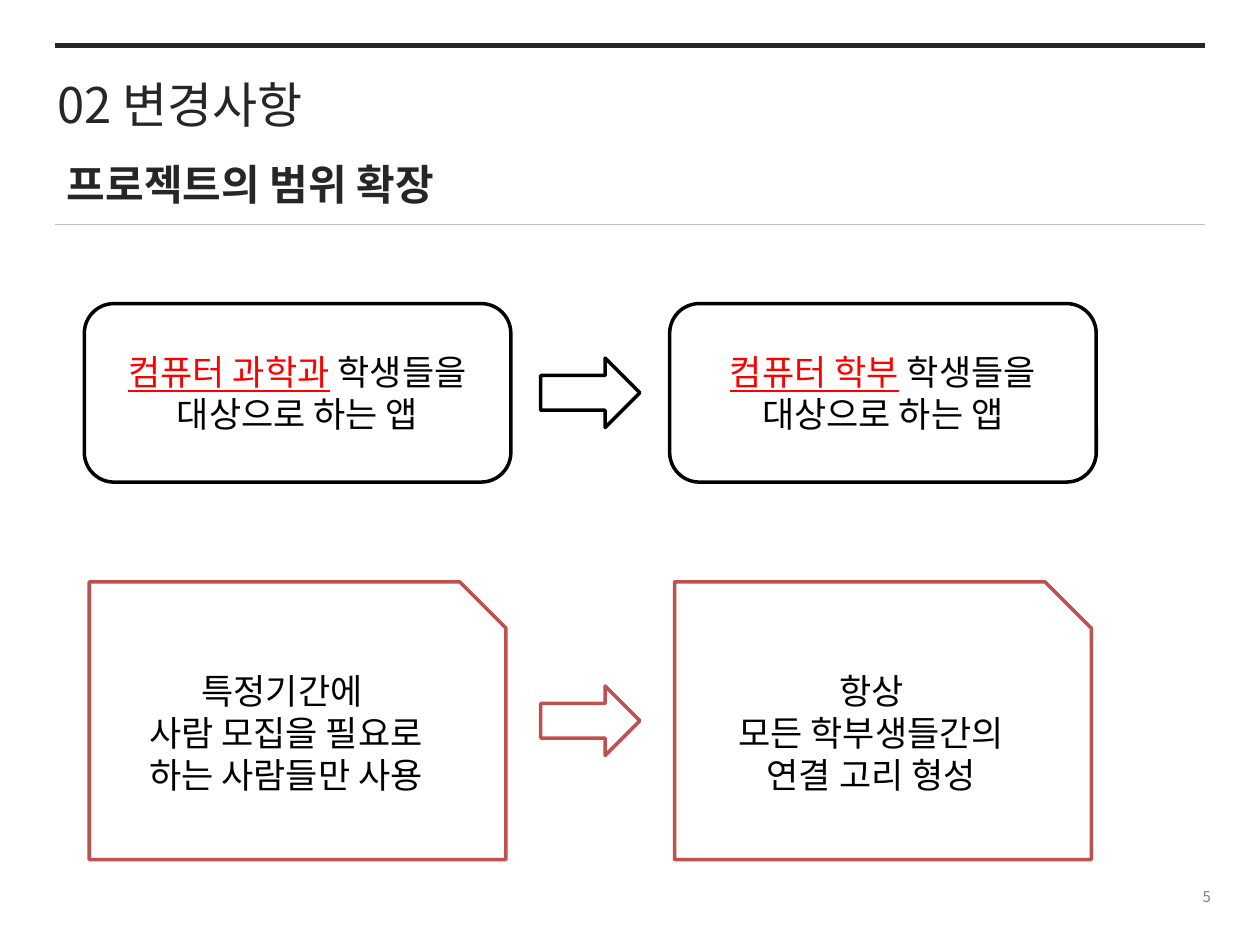
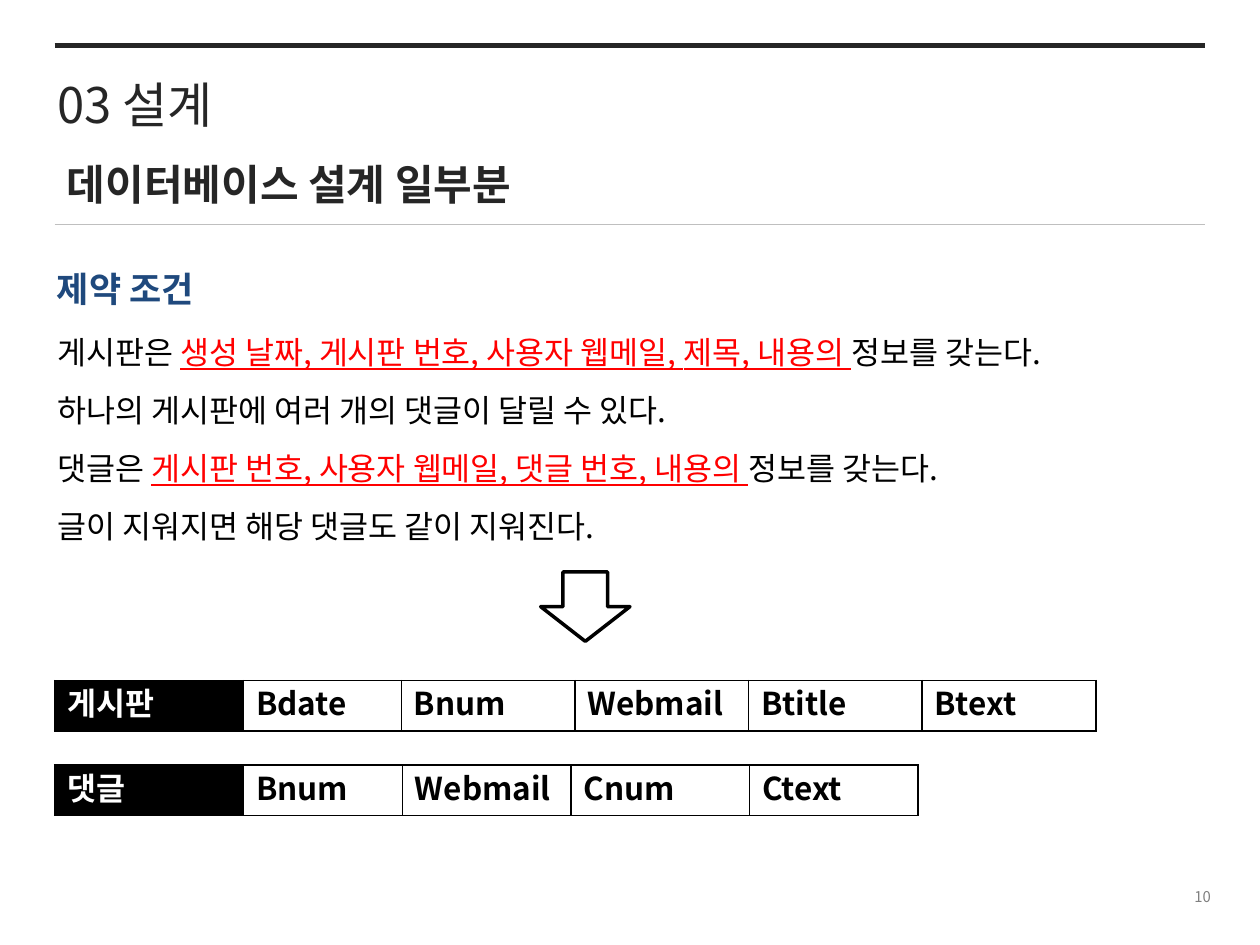
from dataclasses import dataclass

from lxml.etree import SubElement
from pptx import Presentation
from pptx.dml.color import RGBColor
from pptx.enum.shapes import MSO_CONNECTOR, MSO_SHAPE as Preset
from pptx.enum.text import MSO_ANCHOR as Anchor, MSO_AUTO_SIZE, PP_ALIGN as Align
from pptx.oxml import parse_xml
from pptx.oxml.ns import nsdecls, qn
from pptx.util import Cm, Pt


@dataclass(frozen=True)
class Theme:
    font: str = "Noto Sans CJK KR"
    ink: str = "262626"
    black: str = "000000"
    white: str = "FFFFFF"
    grey: str = "808080"
    rule: str = "BFBFBF"
    emphasis: str = "FF0000"
    heading: str = "1F497D"
    accent: str = "C0504D"
    title_size: float = 28
    subtitle_size: float = 24
    box_size: float = 20
    body_size: float = 18
    page_size: float = 8.5
    line_height: float = 1.2
    outline: float = 2
    left: float = 1.1
    right: float = 24.3


def color(value):
    return RGBColor.from_string(value)


def lengths(*values):
    return [Cm(value) for value in values]


class Deck:
    def __init__(self, theme):
        self.theme = theme
        self.presentation = Presentation()
        self.presentation.slide_width, self.presentation.slide_height = lengths(25.4, 19.05)
        self.slide = None

    def start_slide(self, layout_index, title, subtitle, page):
        """Add a slide with the shared title, rules and page number."""
        theme = self.theme
        layout = self.presentation.slide_layouts[layout_index]
        self.slide = self.presentation.slides.add_slide(layout)
        self.placeholder(0, (0.9, 1.37, 19.2, 1.44), [title], theme.title_size, theme.ink)
        self.rule(4.52, theme.rule, 0.75)
        self.rule(0.92, theme.ink, 3)
        self.text((theme.left, 3.07, 23.2, 1.27), subtitle,
                  theme.subtitle_size, theme.ink, bold=True)
        self.text((19.3, 17.73, 5.36, 0.69), page, theme.page_size, theme.grey,
                  align=Align.RIGHT, anchor=Anchor.MIDDLE)

    def fill_text(self, frame, lines, size, ink, bold=False, align=Align.LEFT, gap=0):
        """Fill a text frame; parts between bars are emphasised."""
        for index, line in enumerate(lines):
            paragraph = frame.add_paragraph() if index else frame.paragraphs[0]
            paragraph.alignment = align
            paragraph.line_spacing = Pt(size * self.theme.line_height)
            paragraph.space_before = Pt(0)
            paragraph.space_after = Pt(gap)
            font = paragraph.font
            font.name, font.size, font.bold = self.theme.font, Pt(size), bold
            font.color.rgb = color(ink)
            properties = paragraph._p.pPr
            east_asian = SubElement(properties.find(qn("a:defRPr")), qn("a:ea"))
            east_asian.set("typeface", self.theme.font)
            for part, words in enumerate(line.split("|")):
                if not words:
                    continue
                run = paragraph.add_run()
                run.text = words
                if part % 2:
                    run.font.underline = True
                    run.font.color.rgb = color(self.theme.emphasis)

    def placeholder(self, number, area, lines, size, ink, gap=0):
        shape = self.slide.placeholders[number]
        shape.left, shape.top, shape.width, shape.height = lengths(*area)
        frame = shape.text_frame
        frame.auto_size = MSO_AUTO_SIZE.NONE
        frame.vertical_anchor = Anchor.TOP
        self.fill_text(frame, lines, size, ink, gap=gap)
        # Plain lines: no bullet and no hanging indent
        for paragraph in frame.paragraphs:
            properties = paragraph._p.pPr
            properties.set("marL", "0")
            properties.set("indent", "0")
            properties.find(qn("a:defRPr")).addprevious(
                parse_xml(f"<a:buNone {nsdecls('a')}/>"))

    def text(self, area, words, size, ink, bold=False, align=Align.LEFT, anchor=Anchor.TOP):
        frame = self.slide.shapes.add_textbox(*lengths(*area)).text_frame
        frame.word_wrap = True
        frame.vertical_anchor = anchor
        self.fill_text(frame, [words], size, ink, bold, align)

    def rule(self, top, ink, width):
        start, end, height = lengths(self.theme.left, self.theme.right, top)
        line = self.slide.shapes.add_connector(
            MSO_CONNECTOR.STRAIGHT, start, height, end, height)
        line.line.color.rgb = color(ink)
        line.line.width = Pt(width)
        SubElement(line._element.spPr, qn("a:effectLst"))

    def shape(self, preset, area, outline, lines=()):
        shape = self.slide.shapes.add_shape(preset, *lengths(*area))
        shape.shadow.inherit = False
        shape.fill.solid()
        shape.fill.fore_color.rgb = color(self.theme.white)
        shape.line.color.rgb = color(outline)
        shape.line.width = Pt(self.theme.outline)
        shape.text_frame.vertical_anchor = Anchor.MIDDLE
        self.fill_text(shape.text_frame, lines, self.theme.box_size,
                       self.theme.black, align=Align.CENTER)

    def change(self, preset, top, width, height, outline, before, after):
        """Two boxes, before and after, with an arrow midway between them."""
        center, step, arrow_width, arrow_height = 11.9, 11.8, 2, 1.4
        left = center - (step + width) / 2
        for index, lines in enumerate((before, after)):
            self.shape(preset, (left + index * step, top, width, height), outline, lines)
        arrow_top = top + (height - arrow_height) / 2
        self.shape(Preset.RIGHT_ARROW,
                   (center - arrow_width / 2, arrow_top, arrow_width, arrow_height), outline)

    def schema(self, top, widths, names):
        """One-row table: relation name on black, then its attributes."""
        theme = self.theme
        table = self.slide.shapes.add_table(
            1, len(names), *lengths(theme.left, top, sum(widths), 1.02)).table
        table.first_row = table.horz_banding = False
        for index, (width, name) in enumerate(zip(widths, names)):
            table.columns[index].width = Cm(width)
            cell = table.cell(0, index)
            back, ink = (theme.white, theme.black) if index else (theme.black, theme.white)
            cell.fill.solid()
            cell.fill.fore_color.rgb = color(back)
            self.fill_text(cell.text_frame, [name], theme.body_size, ink, bold=True)
            for position, side in enumerate("LRTB"):
                cell._tc.tcPr.insert(position, parse_xml(
                    f'<a:ln{side} {nsdecls("a")} w="{Pt(1)}"><a:solidFill>'
                    f'<a:srgbClr val="{theme.black}"/></a:solidFill></a:ln{side}>'))


def scope_slide(deck):
    deck.start_slide(5, "02 변경사항", "프로젝트의 범위 확장", "5")
    deck.change(Preset.ROUNDED_RECTANGLE, 6.12, 8.6, 3.6, deck.theme.black,
                ["|컴퓨터 과학과| 학생들을", "대상으로 하는 앱"],
                ["|컴퓨터 학부| 학생들을", "대상으로 하는 앱"])
    deck.change(Preset.SNIP_1_RECTANGLE, 11.73, 8.4, 5.6, deck.theme.accent,
                ["특정기간에 ", "사람 모집을 필요로", "하는 사람들만 사용"],
                ["항상", "모든 학부생들간의", "연결 고리 형성"])


def database_slide(deck):
    theme = deck.theme
    deck.start_slide(1, "03 설계", "데이터베이스 설계 일부분", "10")

    # Constraints
    deck.text((0.9, 5.26, 4.8, 1.12), "제약 조건", theme.box_size, theme.heading, bold=True)
    deck.placeholder(1, (0.9, 6.58, 23.4, 4.6), [
        "게시판은 |생성 날짜, 게시판 번호, 사용자 웹메일, 제목, 내용의 |정보를 갖는다.",
        "하나의 게시판에 여러 개의 댓글이 달릴 수 있다.",
        "댓글은 |게시판 번호, 사용자 웹메일, 댓글 번호, 내용의 |정보를 갖는다.",
        "글이 지워지면 해당 댓글도 같이 지워진다.",
    ], theme.body_size, theme.black, gap=11.5)

    # Resulting relations
    deck.shape(Preset.DOWN_ARROW, (10.9, 11.53, 1.8, 1.4), theme.black)
    deck.schema(13.72, [3.81, 3.18] + [3.5] * 4,
                ["게시판", "Bdate", "Bnum", "Webmail", "Btitle", "Btext"])
    deck.schema(15.42, [3.81, 3.2, 3.4, 3.6, 3.4],
                ["댓글", "Bnum", "Webmail", "Cnum", "Ctext"])


def main():
    deck = Deck(Theme())
    scope_slide(deck)
    database_slide(deck)
    deck.presentation.save("out.pptx")


if __name__ == "__main__":
    main()
